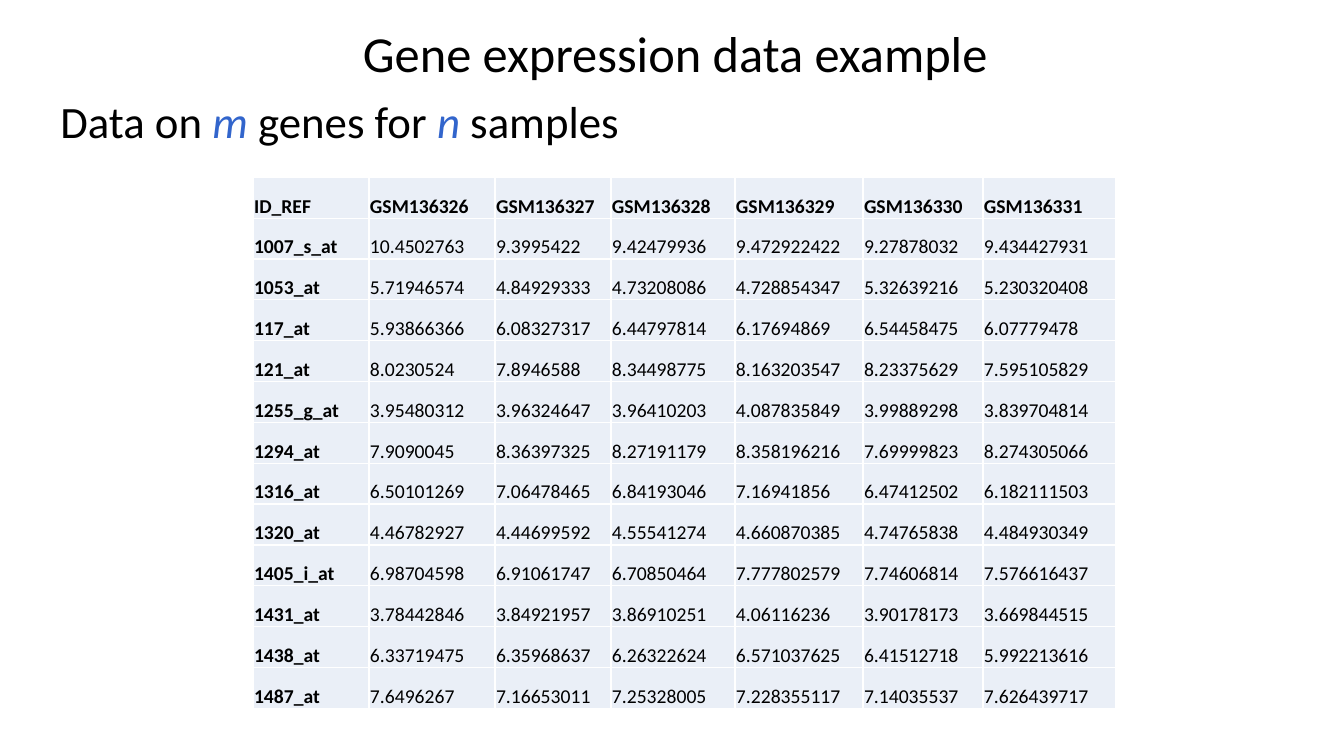
from lxml.etree import SubElement
from pptx import Presentation
from pptx.dml.color import RGBColor
from pptx.enum.text import MSO_ANCHOR, PP_ALIGN
from pptx.oxml.ns import qn
from pptx.util import Inches, Pt

# Content
TITLE = "Gene expression data example"
LEAD = [("Data on ", False), ("m ", True), ("genes for ", False),
        ("n ", True), ("samples", False)]
LINES = [
    "ID_REF GSM136326 GSM136327 GSM136328 GSM136329 GSM136330 GSM136331",
    "1007_s_at 10.4502763 9.3995422 9.42479936 9.472922422 9.27878032 9.434427931",
    "1053_at 5.71946574 4.84929333 4.73208086 4.728854347 5.32639216 5.230320408",
    "117_at 5.93866366 6.08327317 6.44797814 6.17694869 6.54458475 6.07779478",
    "121_at 8.0230524 7.8946588 8.34498775 8.163203547 8.23375629 7.595105829",
    "1255_g_at 3.95480312 3.96324647 3.96410203 4.087835849 3.99889298 3.839704814",
    "1294_at 7.9090045 8.36397325 8.27191179 8.358196216 7.69999823 8.274305066",
    "1316_at 6.50101269 7.06478465 6.84193046 7.16941856 6.47412502 6.182111503",
    "1320_at 4.46782927 4.44699592 4.55541274 4.660870385 4.74765838 4.484930349",
    "1405_i_at 6.98704598 6.91061747 6.70850464 7.777802579 7.74606814 7.576616437",
    "1431_at 3.78442846 3.84921957 3.86910251 4.06116236 3.90178173 3.669844515",
    "1438_at 6.33719475 6.35968637 6.26322624 6.571037625 6.41512718 5.992213616",
    "1487_at 7.6496267 7.16653011 7.25328005 7.228355117 7.14035537 7.626439717",
]
ROWS = [line.split() for line in LINES]

# Format
BLACK = RGBColor(0x00, 0x00, 0x00)
BLUE = RGBColor(0x32, 0x65, 0xCC)
PALE = RGBColor(0xEA, 0xEF, 0xF7)
WHITE = RGBColor(0xFF, 0xFF, 0xFF)
COLS = [1.15, 1.25, 1.15, 1.23, 1.27, 1.19, 1.32]
TOP, BASE = 1.76, 7.03
CELL = dict(vertical_anchor=MSO_ANCHOR.BOTTOM, margin_left=Inches(0.01),
            margin_right=Inches(0.01), margin_top=Inches(0.01), margin_bottom=0)


def apply(item, **values):
    for name, value in values.items():
        setattr(item, name, value)


def style(font, size, color=BLACK, **more):
    apply(font, name="Calibri", size=Pt(size), **more)
    font.color.rgb = color


def border(cell):
    props = cell._tc.get_or_add_tcPr()
    for side in ("lnL", "lnR", "lnT", "lnB"):
        line = SubElement(props, qn(f"a:{side}"), w=str(Pt(1)))
        fill = SubElement(line, qn("a:solidFill"))
        SubElement(fill, qn("a:srgbClr"), val=str(WHITE))


deck = Presentation()
apply(deck, slide_width=Inches(13.33), slide_height=Inches(7.5))
slide = deck.slides.add_slide(deck.slide_layouts[5])

# Title
title = slide.shapes.title
apply(title, left=Inches(3.5), top=Inches(0.17), width=Inches(6.57), height=Inches(0.71))
apply(title.text_frame, text=TITLE, word_wrap=False, vertical_anchor=MSO_ANCHOR.TOP)
head = title.text_frame.paragraphs[0]
head.alignment = PP_ALIGN.LEFT
style(head.runs[0].font, 36)

# Lead line with the two variables in blue italics
box = slide.shapes.add_textbox(Inches(0.5), Inches(0.88), Inches(6.67), Inches(0.64))
box.text_frame.word_wrap = True
for text, var in LEAD:
    run = box.text_frame.paragraphs[0].add_run()
    run.text = text
    style(run.font, 32, BLUE if var else BLACK, italic=var)

# Expression table
table = slide.shapes.add_table(
    len(ROWS), len(COLS), Inches(2.51), Inches(TOP),
    Inches(sum(COLS)), Inches(BASE - TOP)).table
apply(table, first_row=False, horz_banding=False)
for col, width in zip(table.columns, COLS):
    col.width = Inches(width)
for r, row in enumerate(ROWS):
    for c, text in enumerate(row):
        cell = table.cell(r, c)
        apply(cell, text=text, **CELL)
        border(cell)
        cell.fill.solid()
        cell.fill.fore_color.rgb = PALE
        run = cell.text_frame.paragraphs[0].runs[0]
        style(run.font, 14, bold=r == 0 or c == 0)

deck.save("out.pptx")
